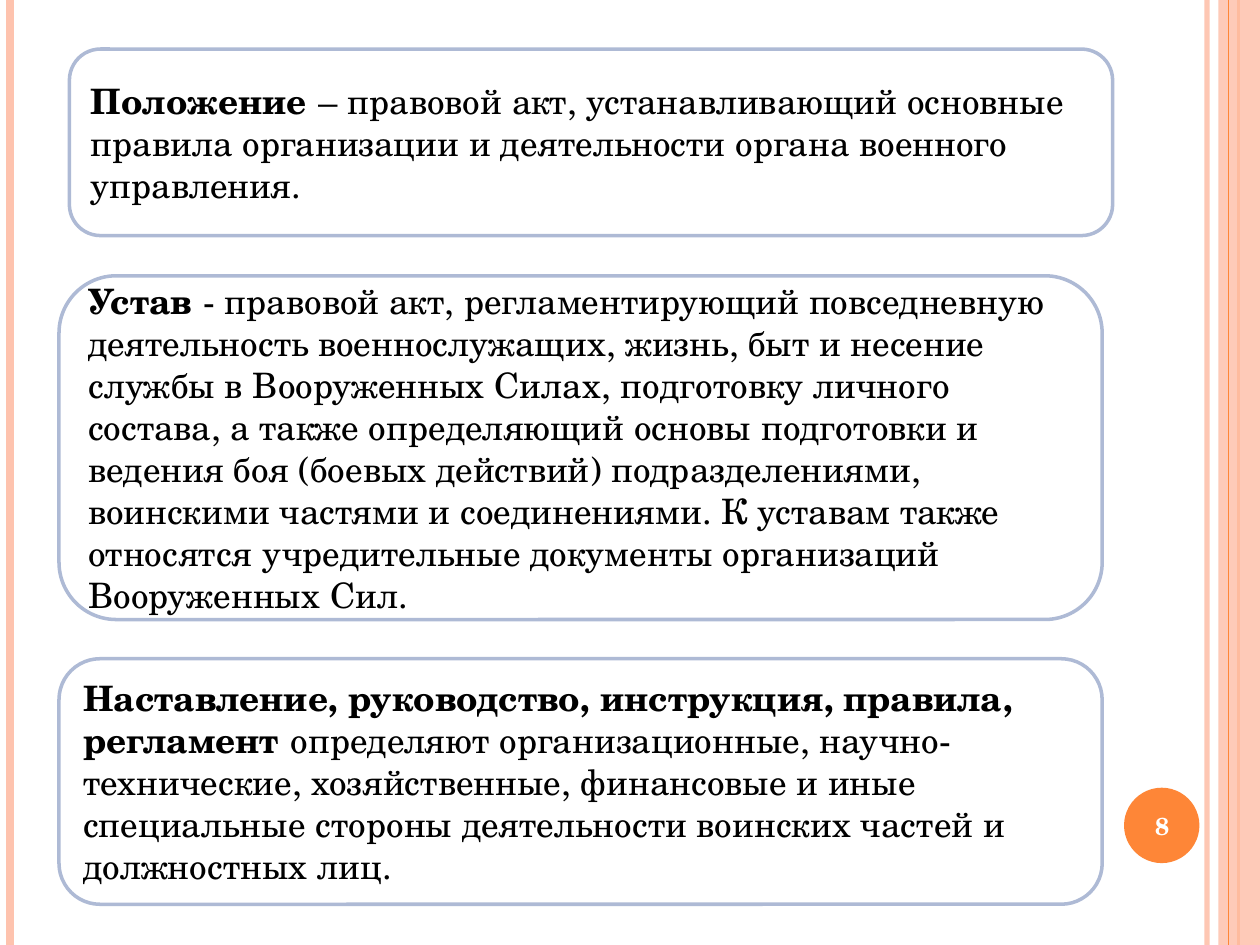
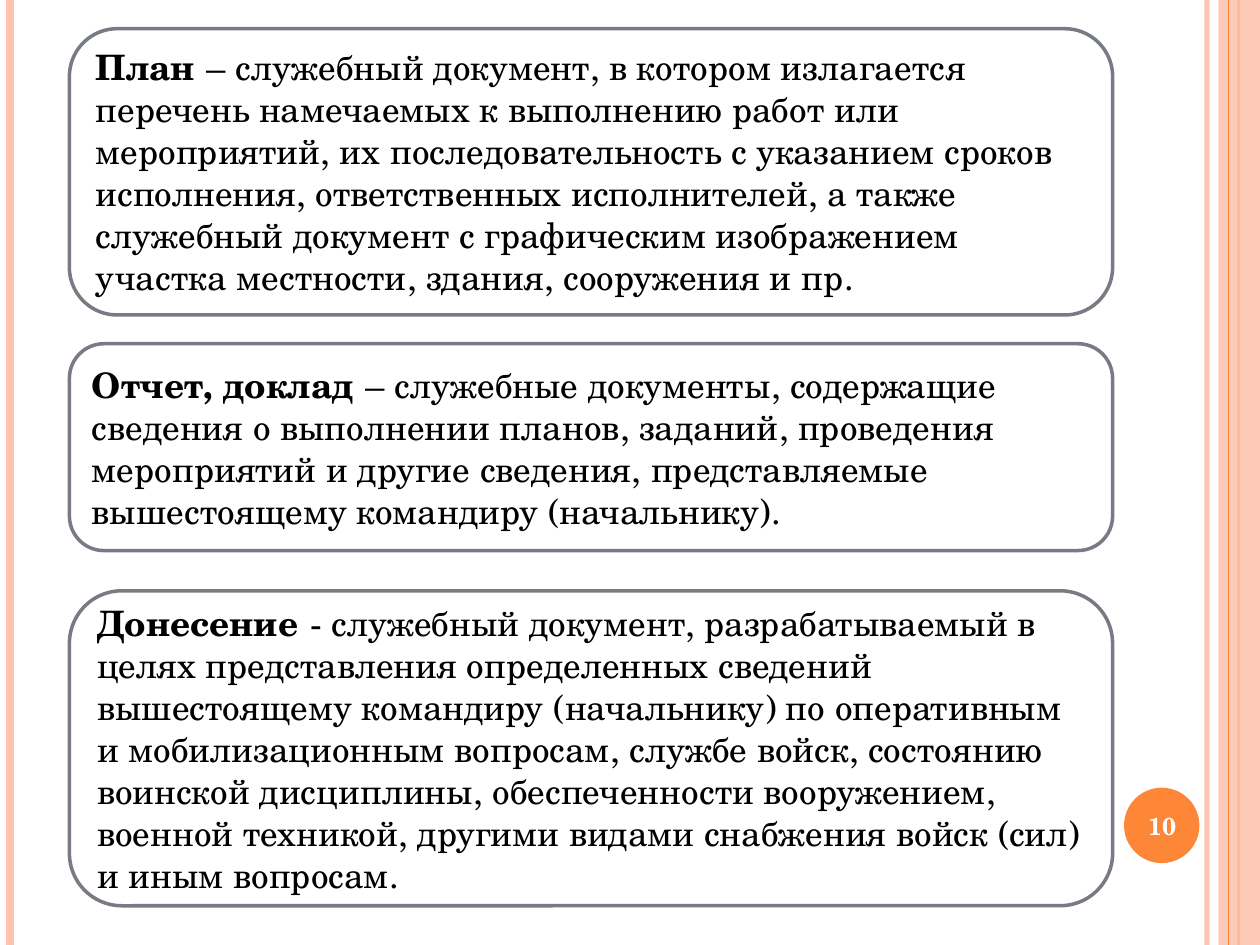
from lxml import etree
from pptx import Presentation
from pptx import util as u
from pptx.dml.color import RGBColor
from pptx.enum import shapes, text
from pptx.oxml.ns import qn

HUES = {"pale": "FEC3AE", "vivid": "FE8637", "blue": "AEBAD5",
        "gray": "777C84", "white": "FFFFFF", "black": "000000"}
FONT = "TeX Gyre Schola"
WIDE, HIGH = 25.4, 19.05
Kind = shapes.MSO_SHAPE


def hue(name):
    return RGBColor.from_string(HUES[name])


def fade(fill, share):
    """Set the opacity of a solid fill, in percent."""
    tone = fill._xPr.find(qn("a:solidFill"))[0]
    etree.SubElement(tone, qn("a:alpha")).set("val", str(share * 1000))


def write(para, words, size=20, color="black", bold=False):
    run = para.add_run()
    run.text = words
    run.font.name, run.font.size, run.font.bold = FONT, u.Pt(size), bold
    run.font.color.rgb = hue(color)


class Page:
    def __init__(self, deck):
        self.deck = deck

    def start(self, number):
        self.slide = self.deck.slides.add_slide(self.deck.slide_layouts[6])
        # Side stripes
        self.stripe(24.33, "pale", 3, 93)
        self.stripe(0.2, "pale", 4.5)
        self.stripe(24.97, "vivid", 1.5)
        band = self.shape(Kind.RECTANGLE, 24.56, 0, WIDE - 24.56, HIGH, "pale")
        fade(band.fill, 87)
        self.stripe(24.77, "vivid", 0.75)
        # Page number
        self.shape(Kind.OVAL, 22.66, 15.88, 1.52, 1.52, "vivid")
        self.label(number, 22.58, 15.93, 1.7, 1.45)

    def stripe(self, x, color, width, share=100):
        line = self.slide.shapes.add_connector(
            shapes.MSO_CONNECTOR.STRAIGHT, u.Cm(x), 0, u.Cm(x), u.Cm(HIGH))
        line.line.color.rgb, line.line.width = hue(color), u.Pt(width)
        if share < 100:
            fade(line.line.fill, share)
        etree.SubElement(line._element.spPr, qn("a:effectLst"))

    def shape(self, kind, x, y, w, h, color):
        item = self.slide.shapes.add_shape(
            kind, u.Cm(x), u.Cm(y), u.Cm(w), u.Cm(h))
        item.shadow.inherit = False
        item.fill.solid()
        item.fill.fore_color.rgb = hue(color)
        item.line.fill.background()
        return item

    def label(self, words, x, y, w, h):
        box = self.slide.shapes.add_textbox(u.Cm(x), u.Cm(y), u.Cm(w), u.Cm(h))
        frame = box.text_frame
        frame.word_wrap = True
        frame.vertical_anchor = text.MSO_ANCHOR.MIDDLE
        frame.paragraphs[0].alignment = text.PP_ALIGN.CENTER
        write(frame.paragraphs[0], words, size=14, color="white", bold=True)

    def card(self, x, y, h, edge, term, gloss):
        item = self.shape(Kind.ROUNDED_RECTANGLE, x, y, 21.03, h, "white")
        item.line.color.rgb, item.line.width = hue(edge), u.Pt(2)
        frame = item.text_frame
        frame.word_wrap = True
        frame.vertical_anchor = text.MSO_ANCHOR.MIDDLE
        para = frame.paragraphs[0]
        para.alignment = text.PP_ALIGN.LEFT
        write(para, term, bold=True)
        write(para, "\u00a0" + gloss)


# Each page: number, card edge, cards (left, top, height, term, meaning)
PAGES = [
    ("8", "blue", [
        (1.4, 0.99, 3.76, "Положение",
         "– правовой акт, устанавливающий основные правила организации и "
         "деятельности органа военного управления."),
        (1.19, 5.56, 6.93, "Устав",
         "- правовой акт, регламентирующий повседневную деятельность "
         "военнослужащих, жизнь, быт и несение службы в Вооруженных Силах, "
         "подготовку личного состава, а также определяющий основы подготовки "
         "и ведения боя (боевых действий) подразделениями, воинскими частями "
         "и соединениями. К уставам также относятся учредительные документы "
         "организаций Вооруженных Сил."),
        (1.19, 13.28, 4.95,
         "Наставление, руководство, инструкция, правила, регламент",
         "определяют организационные, научно-технические, хозяйственные, "
         "финансовые и иные специальные стороны деятельности воинских частей "
         "и должностных лиц."),
    ]),
    ("10", "gray", [
        (1.4, 0.58, 5.77, "План",
         "– служебный документ, в котором излагается перечень намечаемых к "
         "выполнению работ или мероприятий, их последовательность с указанием "
         "сроков исполнения, ответственных исполнителей, а также служебный "
         "документ с графическим изображением участка местности, здания, "
         "сооружения и пр."),
        (1.4, 6.93, 4.17, "Отчет, доклад",
         "– служебные документы, содержащие сведения о выполнении планов, "
         "заданий, проведения мероприятий и другие сведения, представляемые "
         "вышестоящему командиру (начальнику)."),
        (1.4, 11.91, 6.35, "Донесение",
         "- служебный документ, разрабатываемый в целях представления "
         "определенных сведений вышестоящему командиру (начальнику) по "
         "оперативным и мобилизационным вопросам, службе войск, состоянию "
         "воинской дисциплины, обеспеченности вооружением, военной техникой, "
         "другими видами снабжения войск (сил) и иным вопросам."),
    ]),
]

deck = Presentation()
deck.slide_width, deck.slide_height = u.Cm(WIDE), u.Cm(HIGH)
page = Page(deck)
for number, edge, cards in PAGES:
    page.start(number)
    for x, y, h, term, gloss in cards:
        page.card(x, y, h, edge, term, gloss)
deck.save("out.pptx")
